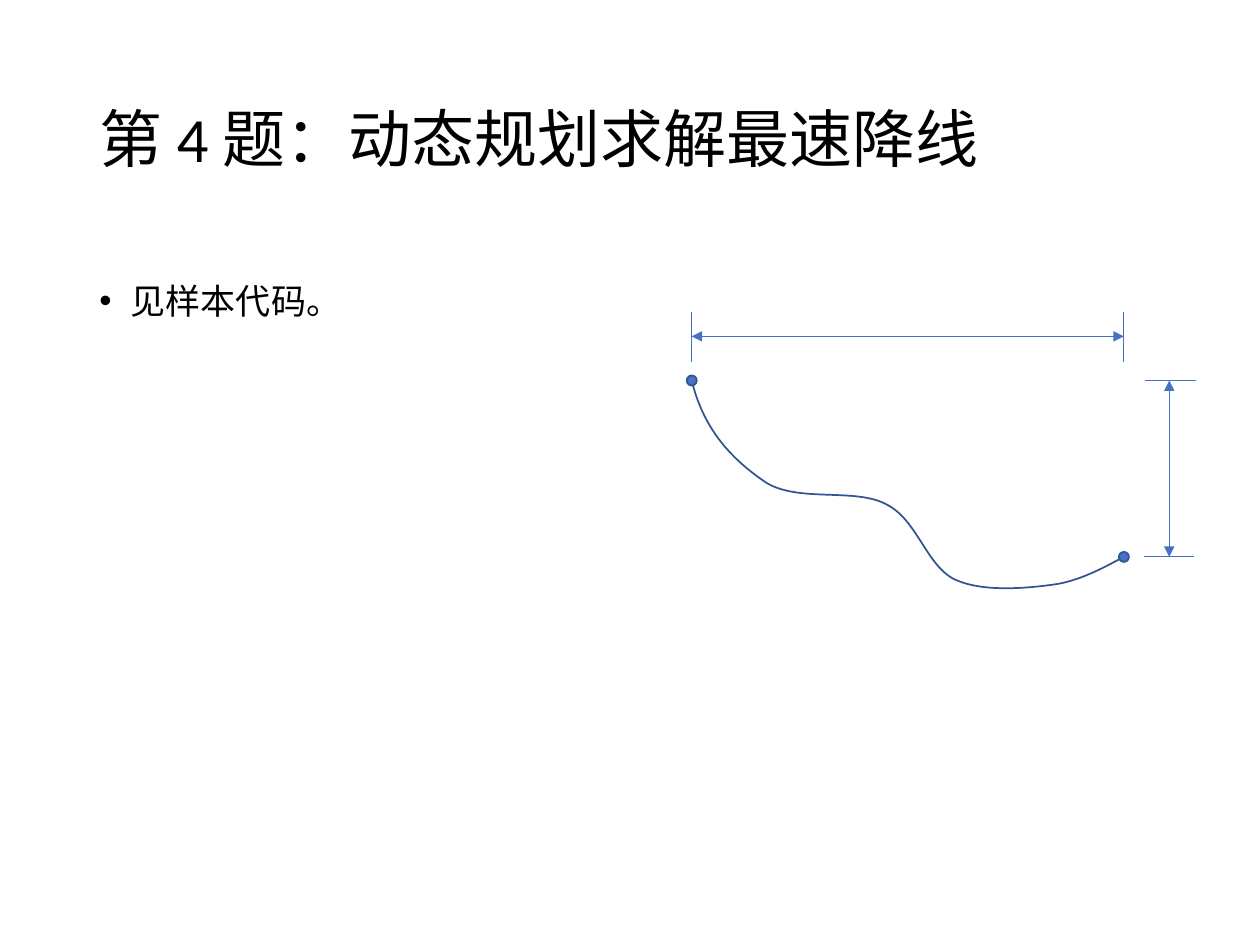
from dataclasses import dataclass

from lxml import etree
from pptx import Presentation
from pptx.dml.color import RGBColor
from pptx.enum.shapes import MSO_CONNECTOR, MSO_SHAPE
from pptx.enum.text import MSO_ANCHOR, PP_ALIGN
from pptx.oxml.ns import qn
from pptx.util import Inches, Pt

STRAIGHT = MSO_CONNECTOR.STRAIGHT
OVAL = MSO_SHAPE.OVAL
MIDDLE = MSO_ANCHOR.MIDDLE
TOP = MSO_ANCHOR.TOP
LEFT = PP_ALIGN.LEFT


@dataclass(frozen=True)
class Theme:
    font: str = "Calibri"
    text: RGBColor = RGBColor(0, 0, 0)
    accent: RGBColor = RGBColor(0x44, 0x72, 0xC4)
    outline: RGBColor = RGBColor(0x32, 0x54, 0x91)
    title_size: int = 36
    body_size: int = 20
    thin: float = 0.5
    normal: float = 1


class SlideBuilder:
    """Draws styled elements on one slide."""

    def __init__(self, slide, theme):
        self.s = slide
        self.theme = theme

    def add_text(self, p, text, size):
        p.alignment = LEFT
        r = p.add_run()
        r.text = text
        r.font.name = self.theme.font
        r.font.size = Pt(size)
        r.font.color.rgb = self.theme.text

    def title(self, text, left, top, width, height):
        sp = self.s.shapes.title
        sp.left, sp.top = Inches(left), Inches(top)
        sp.width, sp.height = Inches(width), Inches(height)
        tf = sp.text_frame
        tf.vertical_anchor = MIDDLE
        p = tf.paragraphs[0]
        p.line_spacing = 0.9
        self.add_text(p, text, self.theme.title_size)

    def bullet(self, text, left, top, width, height):
        sp = self.s.shapes.add_textbox(
            Inches(left), Inches(top), Inches(width), Inches(height))
        tf = sp.text_frame
        tf.word_wrap = True
        tf.vertical_anchor = TOP
        p = tf.paragraphs[0]
        pPr = p._p.get_or_add_pPr()
        pPr.set("marL", str(Inches(0.25)))
        pPr.set("indent", str(Inches(-0.25)))
        etree.SubElement(pPr, qn("a:buFont"), typeface="Arial")
        etree.SubElement(pPr, qn("a:buChar"), char="•")
        p.line_spacing = 1.5
        p.space_after = Pt(6)
        self.add_text(p, text, self.theme.body_size)

    def line(self, shapes, start, end, arrows=False):
        x1, y1, x2, y2 = map(Inches, (*start, *end))
        sp = shapes.add_connector(STRAIGHT, x1, y1, x2, y2)
        sp.line.color.rgb = self.theme.accent
        sp.line.width = Pt(self.theme.thin)
        if arrows:
            ln = sp.line._get_or_add_ln()
            for tag in ("a:headEnd", "a:tailEnd"):
                etree.SubElement(ln, qn(tag), type="triangle")
        etree.SubElement(sp._element.spPr, qn("a:effectLst"))

    def dimension(self, start, end, start_tick, end_tick):
        shapes = self.s.shapes.add_group_shape().shapes
        self.line(shapes, start, end, arrows=True)
        self.line(shapes, *start_tick)
        self.line(shapes, *end_tick)

    def curve(self, start, segments):
        builder = self.s.shapes.build_freeform(
            Inches(start[0]), Inches(start[1]))
        points = [point for segment in segments for point in segment]
        builder.add_line_segments(
            [(Inches(x), Inches(y)) for x, y in points], close=False)
        sp = builder.convert_to_shape()
        sp.shadow.inherit = False
        sp.fill.background()
        sp.line.color.rgb = self.theme.outline
        sp.line.width = Pt(self.theme.normal)
        outline = next(sp._element.iter(qn("a:path")))
        steps = outline.findall(qn("a:lnTo"))
        for i in range(0, len(steps), 3):
            bezier = etree.SubElement(outline, qn("a:cubicBezTo"))
            for step in steps[i:i + 3]:
                bezier.append(step[0])
                outline.remove(step)

    def dot(self, center, size=0.08):
        x, y = center
        sp = self.s.shapes.add_shape(
            OVAL, Inches(x - size / 2), Inches(y - size / 2),
            Inches(size), Inches(size))
        sp.shadow.inherit = False
        sp.fill.solid()
        sp.fill.fore_color.rgb = self.theme.accent
        sp.line.color.rgb = self.theme.outline
        sp.line.width = Pt(self.theme.normal)


def main():
    prs = Presentation()
    prs.slide_width, prs.slide_height = Inches(10), Inches(7.5)
    s = prs.slides.add_slide(prs.slide_layouts[5])
    b = SlideBuilder(s, Theme())
    b.title("第 4 题：动态规划求解最速降线", 0.69, 0.4, 8.62, 1.45)
    b.bullet("见样本代码。", 0.69, 2, 4.3, 4.76)

    x1, y1 = start = (5.49, 3.02)
    x2, y2 = end = (8.92, 4.42)
    b.curve(start, [
        [(5.59, 3.43), (5.83, 3.66), (6.08, 3.83)],
        [(6.34, 3.99), (6.78, 3.87), (7.03, 4)],
        [(7.28, 4.12), (7.35, 4.49), (7.58, 4.6)],
        [(7.8, 4.7), (8.14, 4.67), (8.36, 4.64)],
        [(8.59, 4.61), (8.82, 4.47), end],
    ])
    b.dimension((x1, 2.67), (x2, 2.67),
                ((x1, 2.48), (x1, 2.87)), ((x2, 2.48), (x2, 2.87)))
    b.dimension((9.28, y1), (9.28, y2),
                ((9.09, y1), (9.49, y1)), ((9.08, y2), (9.48, y2)))
    for center in (start, end):
        b.dot(center)
    prs.save("out.pptx")


if __name__ == "__main__":
    main()
